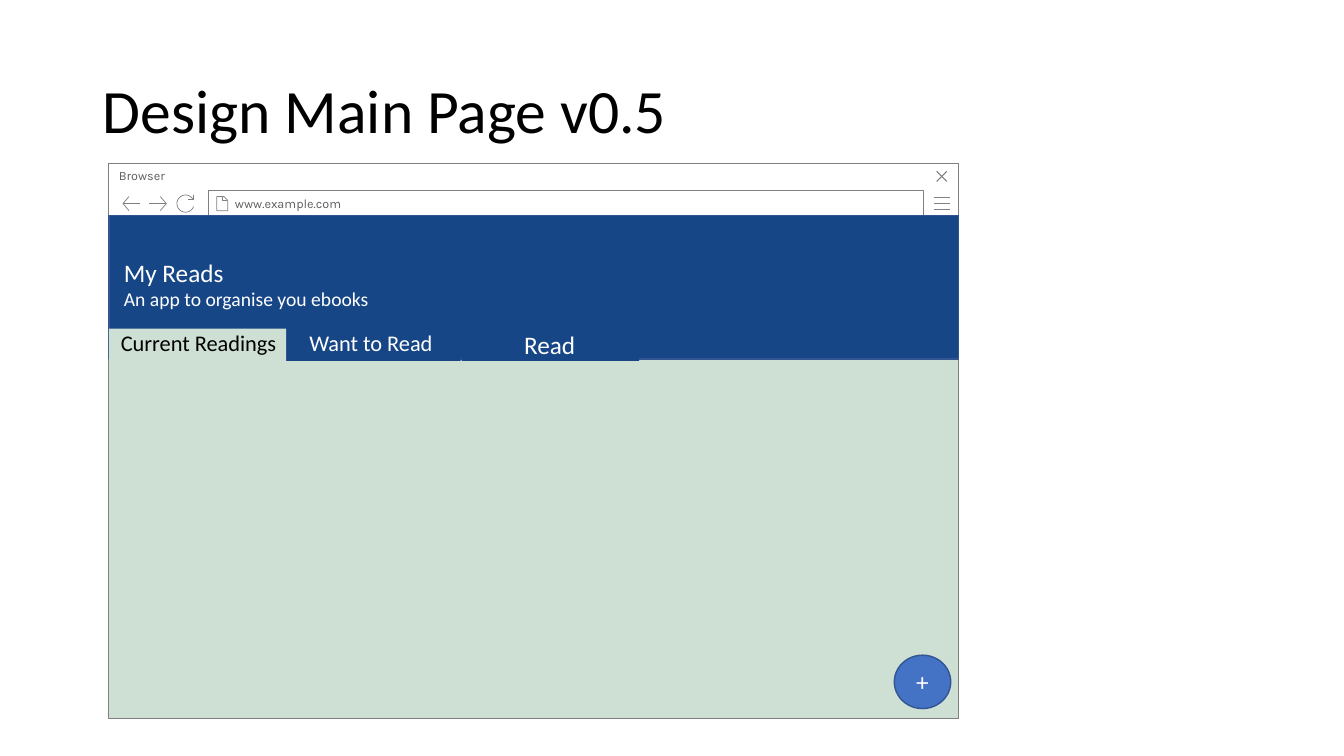
import math
from dataclasses import dataclass

import pptx
import pptx.dml.color
import pptx.enum.shapes
import pptx.enum.text
import pptx.util
from pptx.util import Inches

SHAPES = pptx.enum.shapes.MSO_SHAPE
ALIGN = pptx.enum.text.PP_ALIGN
ANCHOR = pptx.enum.text.MSO_ANCHOR
AUTO_SIZE = pptx.enum.text.MSO_AUTO_SIZE


@dataclass(frozen=True)
class Theme:
    """Colours, fonts and type sizes of the slide."""
    white: str = "FFFFFF"
    black: str = "000000"
    navy: str = "174687"
    navy_line: str = "325491"
    button: str = "4472C4"
    mint: str = "CEDFD4"
    frame: str = "808080"
    chrome_text: str = "5F5F5F"
    body_font: str = "Calibri"
    chrome_font: str = "Karla"
    title_size: float = 44
    heading_size: float = 18
    tab_size: float = 16
    tagline_size: float = 14
    chrome_size: float = 9


THEME = Theme()


def rgb(value):
    """Turn a hex string into a colour."""
    return pptx.dml.color.RGBColor.from_string(value)


def add_span(para, text, size, color, font=THEME.body_font):
    """Add one formatted run to a paragraph."""
    span = para.add_run()
    span.text = text
    span.font.name = font
    span.font.size = pptx.util.Pt(size)
    span.font.color.rgb = rgb(color)


def set_outline(shape, color, width):
    """Give a shape a solid outline, or none."""
    shape.shadow.inherit = False
    if color is None:
        shape.line.fill.background()
    else:
        shape.line.color.rgb = rgb(color)
        shape.line.width = pptx.util.Pt(width)


def add_block(page, kind, place, fill, line=None, width=0.5):
    """Add a filled preset shape."""
    block = page.shapes.add_shape(kind, *map(Inches, place))
    block.fill.solid()
    block.fill.fore_color.rgb = rgb(fill)
    set_outline(block, line, width)
    return block


def label_block(block, text, size, color, font=THEME.body_font, anchor=ANCHOR.MIDDLE,
                align=ALIGN.LEFT, left=0.1, right=0.1):
    """Write one line of text inside a shape."""
    frame = block.text_frame
    frame.vertical_anchor = anchor
    frame.margin_left, frame.margin_right = Inches(left), Inches(right)
    para = frame.paragraphs[0]
    para.alignment = align
    add_span(para, text, size, color, font)


def add_text(page, place, lines, wrap=False):
    """Add a text box with one paragraph per (text, size, colour) line."""
    box = page.shapes.add_textbox(*map(Inches, place))
    frame = box.text_frame
    frame.word_wrap = wrap
    frame.auto_size = AUTO_SIZE.SHAPE_TO_FIT_TEXT
    for index, line in enumerate(lines):
        para = frame.add_paragraph() if index else frame.paragraphs[0]
        add_span(para, *line)


def add_icon(page, strokes, width=0.5):
    """Draw open strokes as one unfilled outline."""
    strokes = [[(Inches(x), Inches(y)) for x, y in stroke] for stroke in strokes]
    builder = page.shapes.build_freeform(*strokes[0][0])
    for index, stroke in enumerate(strokes):
        if index:
            builder.move_to(*stroke[0])
        builder.add_line_segments(stroke[1:], close=False)
    icon = builder.convert_to_shape()
    icon.fill.background()
    set_outline(icon, THEME.frame, width)


def add_arrow_icon(page, tip, tail):
    """Draw a back or forward arrow."""
    middle, half = 2.02, 0.07
    barb = tip + math.copysign(0.06, tail - tip)
    add_icon(page, [[(barb, middle - half), (tip, middle), (barb, middle + half)],
                    [(tip, middle), (tail, middle)]])


def add_title(page):
    """Place and fill the title."""
    title = page.shapes.title
    title.left, title.top, title.width, title.height = map(Inches, (0.92, 0.4, 11.5, 1.45))
    frame = title.text_frame
    frame.auto_size = AUTO_SIZE.NONE
    frame.vertical_anchor = ANCHOR.MIDDLE
    para = frame.paragraphs[0]
    para.alignment = ALIGN.LEFT
    para.line_spacing = 0.9
    add_span(para, "Design Main Page v0.5", THEME.title_size, THEME.black)


def add_browser(page):
    """Draw the browser window with its toolbar."""
    chrome = (THEME.chrome_size, THEME.chrome_text, THEME.chrome_font)
    add_block(page, SHAPES.RECTANGLE, (1.08, 2.21, 8.43, 4.92), THEME.mint, THEME.frame)
    toolbar = add_block(page, SHAPES.RECTANGLE, (1.08, 1.62, 8.43, 0.59), THEME.white, THEME.frame)
    label_block(toolbar, "Browser", *chrome, anchor=ANCHOR.TOP, right=0.25)
    add_icon(page, [[(9.26, y), (9.42, y)] for y in (1.96, 2.02, 2.08)])
    add_icon(page, [[(9.39, 1.7), (9.29, 1.8)], [(9.29, 1.7), (9.39, 1.8)]], 0.75)
    address = add_block(page, SHAPES.RECTANGLE, (2.07, 1.89, 7.09, 0.26), THEME.white, THEME.frame)
    label_block(address, "www.example.com", *chrome, left=0.26)
    add_icon(page, [[(2.21, 1.95), (2.21, 1.99), (2.25, 1.99)],
                    [(2.15, 1.95), (2.15, 2.09), (2.26, 2.09), (2.26, 1.99),
                     (2.22, 1.95), (2.15, 1.95)]])
    add_arrow_icon(page, 1.22, 1.39)
    add_arrow_icon(page, 1.65, 1.48)
    arc = [(1.84 + 0.085 * math.cos(math.radians(angle)),
            2.02 + 0.085 * math.sin(math.radians(angle))) for angle in range(20, 331, 10)]
    add_icon(page, [[(1.92, 1.93), (1.92, 1.98), (1.86, 1.98)], arc])


def add_banner(page):
    """Draw the app banner with its name and tagline."""
    add_block(page, SHAPES.RECTANGLE, (1.08, 2.14, 8.43, 1.42), THEME.navy, THEME.navy_line, 1)
    add_text(page, (1.13, 2.5, 2.65, 0.64),
             [("My Reads", THEME.heading_size, THEME.white),
              ("An app to organise you ebooks", THEME.tagline_size, THEME.white)])


def add_tabs(page):
    """Draw the three shelf tabs and their labels."""
    for left, fill in ((2.81, THEME.navy), (1.08, THEME.mint), (4.58, THEME.navy)):
        add_block(page, SHAPES.RECTANGLE, (left, 3.26, 1.76, 0.32), fill)
    labels = (("Current Readings", 1.1, 1.76, 0.37, THEME.tab_size, THEME.black, True),
              ("Want to Read", 2.97, 1.44, 0.37, THEME.tab_size, THEME.white, False),
              ("Read", 5.1, 0.71, 0.4, THEME.heading_size, THEME.white, False))
    for text, left, width, height, size, color, wrap in labels:
        add_text(page, (left, 3.22, width, height), [(text, size, color)], wrap)


def add_button(page):
    """Draw the round add button."""
    button = add_block(page, SHAPES.OVAL, (8.87, 6.5, 0.56, 0.53), THEME.button, THEME.navy_line, 1)
    label_block(button, "+", THEME.heading_size, THEME.white, align=ALIGN.CENTER)


def main():
    """Build and save the slide."""
    deck = pptx.Presentation()
    deck.slide_width, deck.slide_height = Inches(13.33), Inches(7.5)
    page = deck.slides.add_slide(deck.slide_layouts.get_by_name("Title Only"))
    add_title(page)
    add_browser(page)
    add_banner(page)
    add_button(page)
    add_tabs(page)
    deck.save("out.pptx")


if __name__ == "__main__":
    main()
